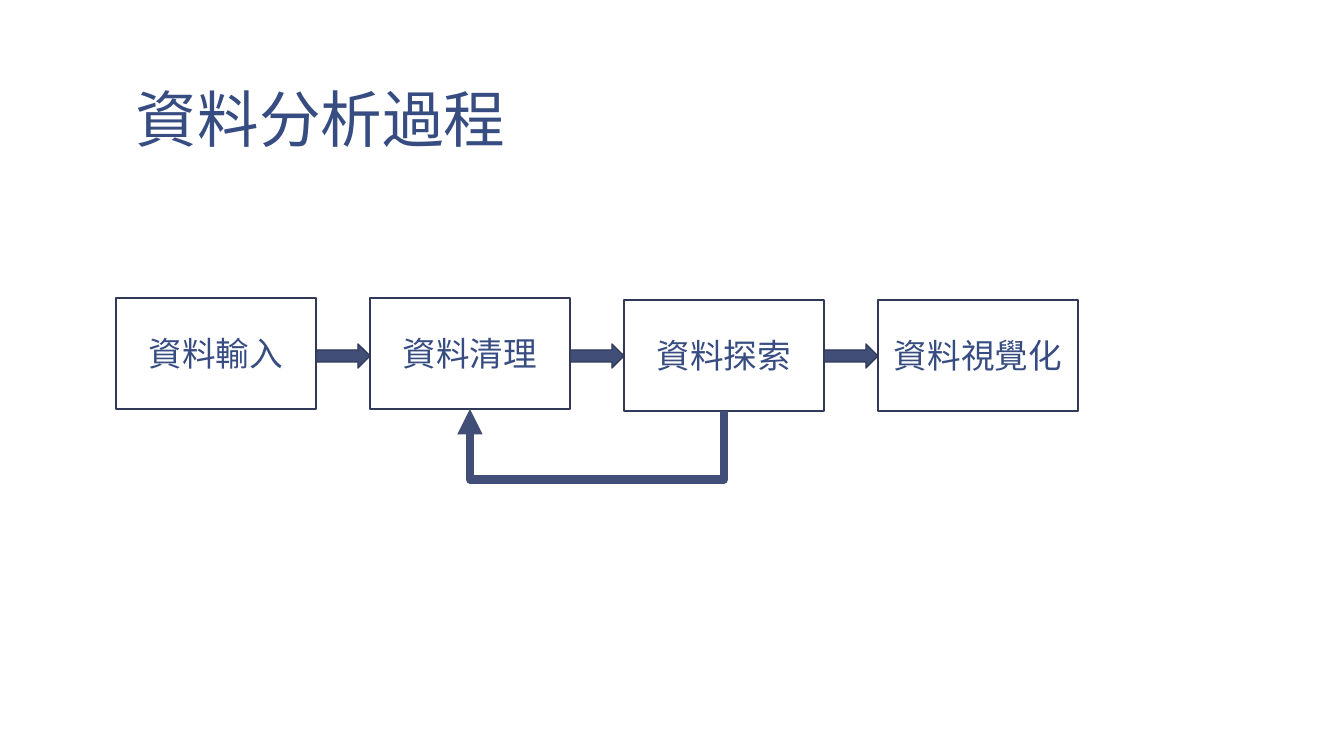
"""Build the slide on the steps of data analysis."""
from lxml import etree
from pptx import Presentation
from pptx import util as u
from pptx.dml.color import RGBColor
from pptx.enum import shapes, text
from pptx.oxml.ns import qn

COLORS = {"text": "374C81", "outline": "303A58", "arrow": "414E77"}
STEPS = [("資料輸入", 298), ("資料清理", 298), ("資料探索", 300), ("資料視覺化", 300)]
LEFT, PITCH, BOX_WIDTH, BOX_HEIGHT = 116, 254, 200, 111
LOOP_RISE, LOOP_DEPTH = 2, 69


def px(*lengths):
    return [u.Emu(round(length * 914400 / 100.8)) for length in lengths]


def color(name):
    return RGBColor.from_string(COLORS[name])


deck = Presentation()
deck.slide_width, deck.slide_height = px(1344, 756)
page = deck.slides.add_slide(deck.slide_layouts[5])

title = page.shapes.title
title.left, title.top, title.width, title.height = px(123, 8, 1120, 154)
frame = title.text_frame
frame.text = "資料分析過程"
frame.word_wrap = True
frame.auto_size = text.MSO_AUTO_SIZE.NONE
frame.vertical_anchor = text.MSO_ANCHOR.BOTTOM
frame.margin_left, frame.margin_right, frame.margin_top, frame.margin_bottom = px(13, 13, 7, 7)
heading = frame.paragraphs[0]
heading.alignment = text.PP_ALIGN.LEFT
heading.line_spacing = 0.85
heading.font.size = u.Pt(44)
heading.font.name = "Arial"
heading.font.color.rgb = color("text")

for index, (label, top) in enumerate(STEPS):
    left = LEFT + index * PITCH
    box = page.shapes.add_shape(shapes.MSO_SHAPE.RECTANGLE, *px(left, top, BOX_WIDTH, BOX_HEIGHT))
    box.shadow.inherit = False
    box.fill.background()
    box.line.color.rgb = color("outline")
    box.line.width = u.Pt(1)
    box.text_frame.text = label
    box.text_frame.word_wrap = True
    box.text_frame.vertical_anchor = text.MSO_ANCHOR.MIDDLE
    para = box.text_frame.paragraphs[0]
    para.alignment = text.PP_ALIGN.CENTER
    para.font.size = u.Pt(24)
    para.font.name = "League Spartan"
    para.font.color.rgb = color("text")

for index in range(len(STEPS) - 1):
    left = LEFT + index * PITCH + BOX_WIDTH
    arrow = page.shapes.add_shape(
        shapes.MSO_SHAPE.RIGHT_ARROW, *px(left, 344, PITCH - BOX_WIDTH, 24))
    arrow.shadow.inherit = False
    arrow.fill.solid()
    arrow.fill.fore_color.rgb = color("arrow")
    arrow.line.color.rgb = color("outline")
    arrow.line.width = u.Pt(1)

loop = page.shapes.add_connector(
    shapes.MSO_CONNECTOR.ELBOW, *px(598, 283, 598 - LOOP_RISE, 283 + PITCH))
loop.line.color.rgb = color("arrow")
loop.line.width = u.Pt(6)
properties = loop._element.spPr
properties.find(qn("a:xfrm")).set("rot", "5400000")
guides = properties.find(qn("a:prstGeom")).find(qn("a:avLst"))
bend = round(-100000 * LOOP_DEPTH / LOOP_RISE)
etree.SubElement(guides, qn("a:gd"), name="adj1", fmla=f"val {bend}")
etree.SubElement(properties.find(qn("a:ln")), qn("a:tailEnd"), type="triangle")
etree.SubElement(properties, qn("a:effectLst"))

deck.save("out.pptx")
